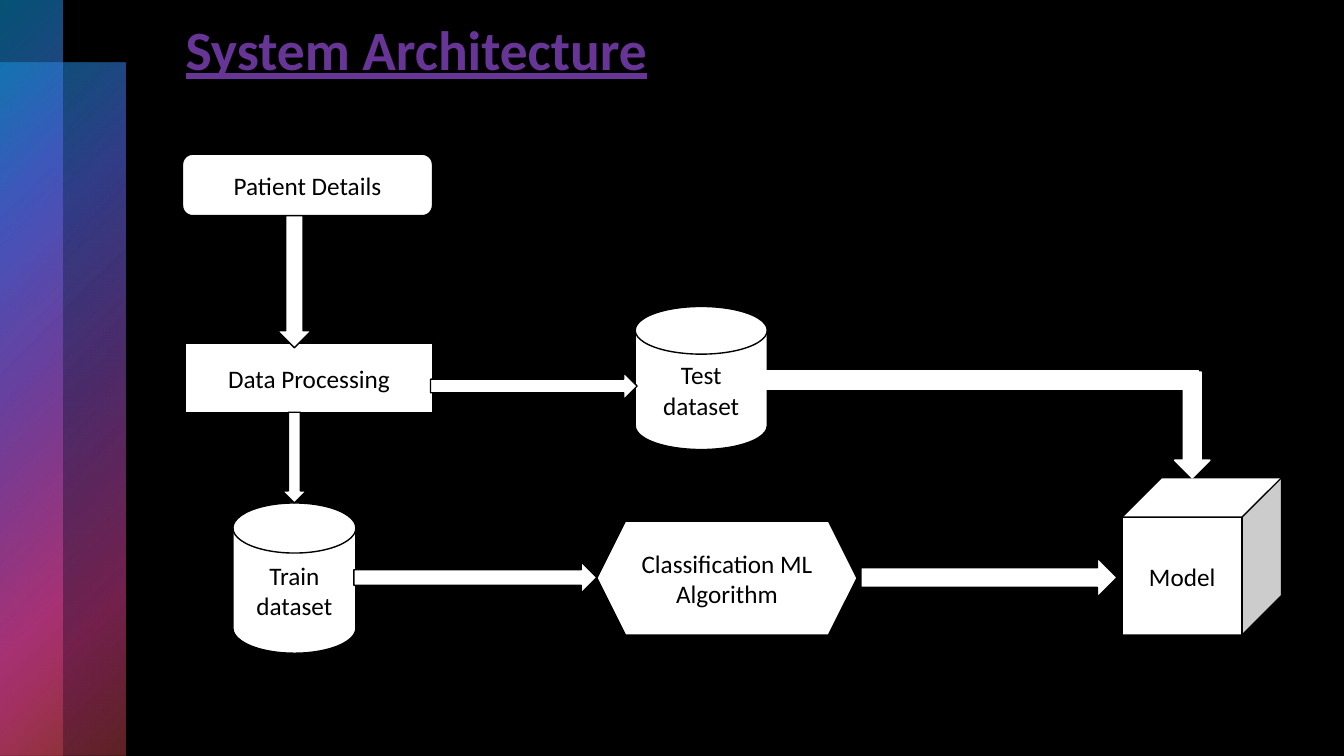
from lxml import etree
from pptx import Presentation
from pptx.dml.color import RGBColor
from pptx.enum.shapes import MSO_SHAPE
from pptx.enum.text import MSO_ANCHOR, PP_ALIGN
from pptx.oxml import parse_xml
from pptx.oxml.ns import nsdecls, qn
from pptx.util import Inches, Pt

RECTANGLE = MSO_SHAPE.RECTANGLE
ROUNDED_BOX = MSO_SHAPE.FLOWCHART_ALTERNATE_PROCESS
DISK = MSO_SHAPE.FLOWCHART_MAGNETIC_DISK
HEXAGON = MSO_SHAPE.HEXAGON
CUBE = MSO_SHAPE.CUBE
MINUS = MSO_SHAPE.MATH_MINUS
DOWN = MSO_SHAPE.DOWN_ARROW
RIGHT = MSO_SHAPE.RIGHT_ARROW
MIDDLE = MSO_ANCHOR.MIDDLE
LEFT_ALIGN, CENTER = PP_ALIGN.LEFT, PP_ALIGN.CENTER

FONT = "Calibri"
BLACK, WHITE, PURPLE = "000000", "FFFFFF", "673595"
TITLE = "System Architecture"
TITLE_BOX = (1.74, 0.09, 10.37, 0.86)

# Gradient stops: position and opacity in percent
SIDE_STOPS = [(0, "0BA5E8", 50), (25, "5066E1", 60), (50, "894EC0", 55),
              (81, "E54196", 50), (99, "BE4449", 50)]
SIDE_BANDS = [(0, 0.62, 1.24, 6.88), (0, 0, 0.62, 7.5)]

# Name: preset, (left, top, width, height)
NODES = {
    "Patient Details": (ROUNDED_BOX, (1.81, 1.53, 2.48, 0.61)),
    "Data Processing": (RECTANGLE, (1.84, 3.41, 2.45, 0.68)),
    "Test dataset": (DISK, (6.3, 3.04, 1.31, 1.42)),
    "Train dataset": (DISK, (2.31, 4.99, 1.22, 1.49)),
    "Classification ML Algorithm": (HEXAGON, (5.92, 5.17, 2.58, 1.13)),
    "Model": (CUBE, (11.13, 4.74, 1.58, 1.56)),
}

TRAIN_AXIS, TEST_AXIS, MODEL_AXIS = 2.92, 3.83, 5.73
# Source, target, preset, centre line, thickness, start and end offsets
ARROWS = [
    ("Patient Details", "Data Processing", DOWN, TRAIN_AXIS, 0.34, 0, 0.04),
    ("Data Processing", "Train dataset", DOWN, TRAIN_AXIS, 0.24, 0, 0),
    ("Data Processing", "Test dataset", RIGHT, TEST_AXIS, 0.27, -0.02, 0.02),
    ("Train dataset", "Classification ML Algorithm", RIGHT, MODEL_AXIS, 0.31, -0.02, 0),
    ("Classification ML Algorithm", "Model", RIGHT, MODEL_AXIS, 0.39, 0.04, -0.05),
]
ELBOW_DROP = (11.65, 3.69, 0.35, 1.05)
ELBOW_BAR = (6.83, 3.36, 5.83, 0.82)


def color(hex_string):
    """Turn a hex string into a colour."""
    return RGBColor.from_string(hex_string)


def add_shape(slide, preset, box, line=BLACK):
    """Add a white shape with a thin outline."""
    shape = slide.shapes.add_shape(preset, *map(Inches, box))
    shape.shadow.inherit = False
    shape.fill.solid()
    shape.fill.fore_color.rgb = color(WHITE)
    shape.line.color.rgb = color(line)
    shape.line.width = Pt(1)
    return shape


def add_side_band(slide, box):
    """Add a translucent band with a radial gradient from its top left corner."""
    shape = add_shape(slide, RECTANGLE, box)
    shape.line.fill.background()
    gradient = parse_xml(
        f'<a:gradFill {nsdecls("a")} rotWithShape="1"><a:gsLst/><a:path path="circle">'
        '<a:fillToRect r="100000" b="100000"/></a:path></a:gradFill>')
    for position, hex_string, opacity in SIDE_STOPS:
        stop = etree.SubElement(gradient[0], qn("a:gs"), pos=str(position * 1000))
        tint = etree.SubElement(stop, qn("a:srgbClr"), val=hex_string)
        etree.SubElement(tint, qn("a:alpha"), val=str(opacity * 1000))
    properties = shape.element.spPr
    properties.replace(properties.find(qn("a:solidFill")), gradient)


def add_node(slide, name, preset, box):
    """Add one labelled step of the diagram."""
    frame = add_shape(slide, preset, box).text_frame
    frame.word_wrap = True
    frame.vertical_anchor = MIDDLE
    frame.text = name
    paragraph = frame.paragraphs[0]
    paragraph.alignment = CENTER
    set_font(paragraph.font, 18, BLACK)


def set_font(font, size, hex_string):
    """Set typeface, size and colour."""
    font.name = FONT
    font.size = Pt(size)
    font.color.rgb = color(hex_string)


def add_arrow(slide, source, target, preset, axis, thickness, start_offset, end_offset):
    """Add a block arrow between the facing sides of two steps."""
    side = 0 if preset == RIGHT else 1
    source_box, target_box = NODES[source][1], NODES[target][1]
    start = source_box[side] + source_box[side + 2] + start_offset
    length = target_box[side] + end_offset - start
    near_edge = axis - thickness / 2
    if preset == RIGHT:
        box = (start, near_edge, length, thickness)
    else:
        box = (near_edge, start, thickness, length)
    add_shape(slide, preset, box)


def add_title(slide):
    """Place and format the title placeholder."""
    title = slide.shapes.title
    title.left, title.top, title.width, title.height = map(Inches, TITLE_BOX)
    frame = title.text_frame
    frame.text = TITLE
    frame.vertical_anchor = MIDDLE
    paragraph = frame.paragraphs[0]
    paragraph.alignment = LEFT_ALIGN
    paragraph.line_spacing = 0.9
    set_font(paragraph.font, 39.6, PURPLE)
    paragraph.font.bold = True
    paragraph.font.underline = True


presentation = Presentation()
presentation.slide_width, presentation.slide_height = Inches(13.33), Inches(7.5)
slide = presentation.slides.add_slide(presentation.slide_layouts[5])
slide.background.fill.solid()
slide.background.fill.fore_color.rgb = color(BLACK)

for band in SIDE_BANDS:
    add_side_band(slide, band)
add_title(slide)
for name, (preset, box) in NODES.items():
    add_node(slide, name, preset, box)
for arrow in ARROWS:
    add_arrow(slide, *arrow)
add_shape(slide, DOWN, ELBOW_DROP, WHITE)
add_shape(slide, MINUS, ELBOW_BAR, WHITE)

presentation.save("out.pptx")
